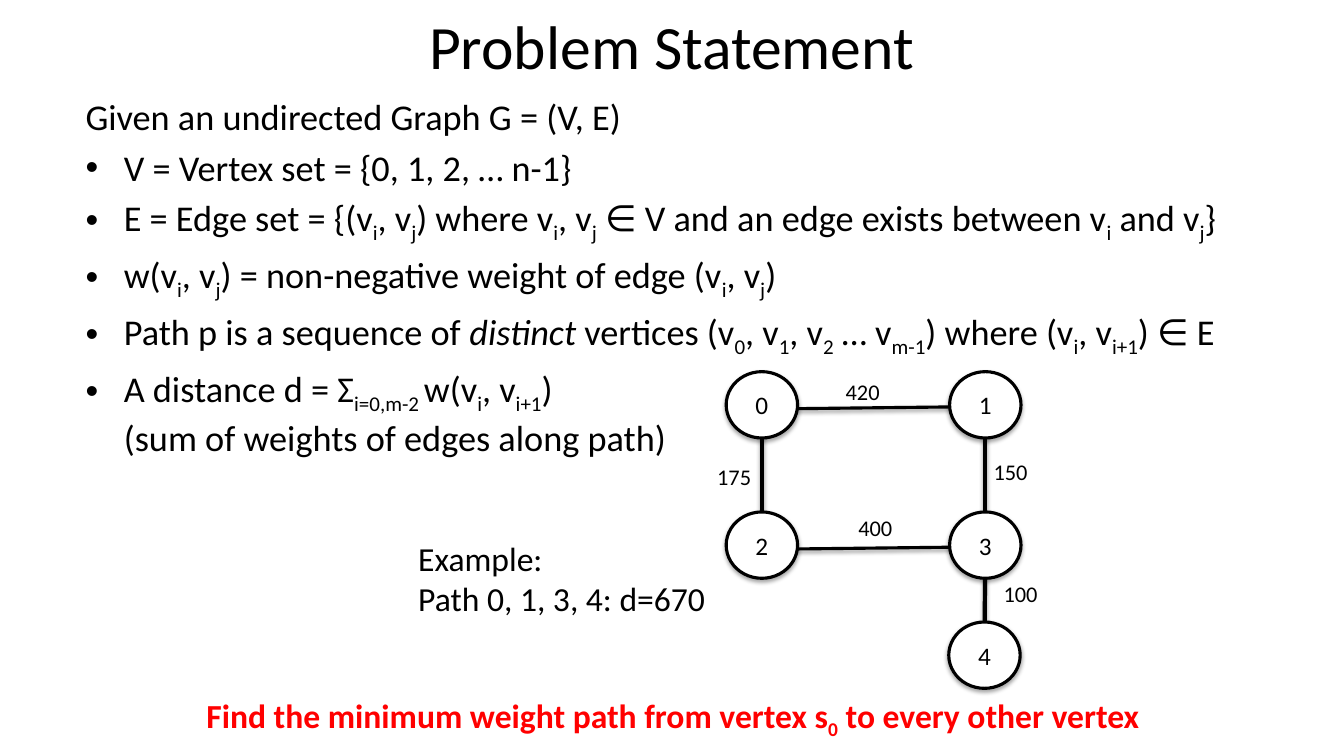
import pptx
import pptx.util
import pptx.dml.color
import pptx.enum.shapes
import pptx.enum.text
import pptx.oxml.ns
import lxml.etree

FONT = "Calibri"
COLORS = {"ink": "000000", "paper": "FFFFFF", "goal": "FF0000"}
WIDTH = pptx.util.Inches(13.333)
HEIGHT = pptx.util.Inches(7.5)
COLUMN = WIDTH / 160
ROW = HEIGHT / 90

NODE_SIZE = (8.5, 7.9)
NODES = {
    "0": (90.7, 48.2),
    "1": (117.3, 48.2),
    "2": (90.7, 64.9),
    "3": (117.3, 64.9),
    "4": (117.2, 78),
}
EDGES = [
    ("0", "1", "420", (99.5, 44.4)),
    ("0", "2", "175", (84.2, 54.5)),
    ("1", "3", "150", (117.1, 54)),
    ("2", "3", "400", (101, 60.6)),
    ("3", "4", "100", (118.3, 68.5)),
]

INTRODUCTION = "Given an undirected Graph G = (V, E)"
DEFINITIONS = [
    "V = Vertex set = {0, 1, 2, … n-1}",
    "E = Edge set = {(v|i|, v|j|) where v|i|, v|j| ∈ V and an edge exists between v|i| and v|j|}",
    "w(v|i|, v|j|) = non-negative weight of edge (v|i|, v|j|) ",
    "Path p is a sequence of *distinct* vertices (v|0|, v|1|, v|2| … v|m-1|) where (v|i|, v|i+1|) ∈ E",
    "A distance d = Σ|i=0,m-2 |w(v|i|, v|i+1|) \n(sum of weights of edges along path)",
]
EXAMPLE = ["Example:", "Path 0, 1, 3, 4: d=670"]
GOAL = "Find the minimum weight path from vertex s|0| to every other vertex"


def rgb(color):
    return pptx.dml.color.RGBColor.from_string(COLORS[color])


def cell(column, row):
    return round(column * COLUMN), round(row * ROW)


def element(parent, tag, **attributes):
    return lxml.etree.SubElement(parent, pptx.oxml.ns.qn(tag), **attributes)


def add_run(paragraph, words, size, color, bold=False, italic=False, lowered=False):
    run = paragraph.add_run()
    run.text = words
    run.font.name = FONT
    run.font.size = pptx.util.Pt(size)
    run.font.bold = bold
    run.font.italic = italic
    run.font.color.rgb = rgb(color)
    if lowered:
        run._r.get_or_add_rPr().set("baseline", "-25000")


def write(paragraph, marked, size, color="ink", bold=False):
    for line_index, line in enumerate(marked.split("\n")):
        if line_index:
            paragraph.add_line_break()
        for part_index, part in enumerate(line.split("|")):
            for word_index, words in enumerate(part.split("*")):
                if words:
                    add_run(paragraph, words, size, color, bold,
                            italic=word_index % 2 == 1, lowered=part_index % 2 == 1)


def add_text(slide, place, size, lines, color="ink", bold=False, wrap=True):
    frame = slide.shapes.add_textbox(*cell(*place[:2]), *cell(*place[2:])).text_frame
    frame.word_wrap = wrap
    for index, line in enumerate(lines):
        paragraph = frame.add_paragraph() if index else frame.paragraphs[0]
        write(paragraph, line, size, color, bold)
    return frame


def add_bullet(paragraph):
    indent = pptx.util.Inches(0.38)
    properties = paragraph._p.get_or_add_pPr()
    properties.set("marL", str(indent))
    properties.set("indent", str(-indent))
    element(properties, "a:buFont", typeface="Arial")
    element(properties, "a:buChar", char="•")


def outline_and_shadow(part, weight, distance, opacity):
    part.line.color.rgb = rgb("ink")
    part.line.width = pptx.util.Pt(weight)
    effects = element(part._element.spPr, "a:effectLst")
    shadow = element(effects, "a:outerShdw", blurRad=str(pptx.util.Pt(3.1)),
                     dist=str(pptx.util.Pt(distance)), dir="5400000", rotWithShape="0")
    tint = element(shadow, "a:srgbClr", val=COLORS["ink"])
    element(tint, "a:alpha", val=str(opacity * 1000))


def add_edge(slide, start, end):
    (start_column, start_row), (end_column, end_row) = NODES[start], NODES[end]
    level = start_row == end_row
    if level:
        start_row, end_row = start_row + 0.5, end_row + 0.2
    edge = slide.shapes.add_connector(
        pptx.enum.shapes.MSO_CONNECTOR.STRAIGHT,
        *cell(start_column, start_row), *cell(end_column, end_row))
    outline_and_shadow(edge, 2.25 if level else 3, 1.6, 38)


def add_node(slide, name):
    column, row = NODES[name]
    width, height = NODE_SIZE
    node = slide.shapes.add_shape(
        pptx.enum.shapes.MSO_SHAPE.OVAL,
        *cell(column - width / 2, row - height / 2), *cell(width, height))
    node.fill.solid()
    node.fill.fore_color.rgb = rgb("paper")
    outline_and_shadow(node, 2.25, 1.8, 35)
    node.text_frame.vertical_anchor = pptx.enum.text.MSO_ANCHOR.MIDDLE
    paragraph = node.text_frame.paragraphs[0]
    paragraph.alignment = pptx.enum.text.PP_ALIGN.CENTER
    write(paragraph, name, 18)


def add_title(slide, words):
    title = slide.shapes.title
    title.left, title.top = cell(26, -2.2)
    title.width, title.height = cell(108, 15)
    title.text_frame.auto_size = pptx.enum.text.MSO_AUTO_SIZE.NONE
    title.text_frame.vertical_anchor = pptx.enum.text.MSO_ANCHOR.MIDDLE
    paragraph = title.text_frame.paragraphs[0]
    paragraph.alignment = pptx.enum.text.PP_ALIGN.CENTER
    write(paragraph, words, 44)


def add_definitions(slide):
    frame = add_text(slide, (9, 10.6, 144, 46.3), 25.9, [INTRODUCTION] + DEFINITIONS)
    for paragraph in frame.paragraphs:
        paragraph.space_before = pptx.util.Pt(5.2)
    for paragraph in frame.paragraphs[1:]:
        add_bullet(paragraph)


def add_graph(slide):
    for start, end, weight, corner in EDGES:
        add_edge(slide, start, end)
    for name in NODES:
        add_node(slide, name)
    for start, end, weight, corner in EDGES:
        add_text(slide, (*corner, 6.5, 4.4), 16, [weight], wrap=False)


def main():
    deck = pptx.Presentation()
    deck.slide_width = WIDTH
    deck.slide_height = HEIGHT
    slide = deck.slides.add_slide(deck.slide_layouts.get_by_name("Title Only"))
    add_title(slide, "Problem Statement")
    add_definitions(slide)
    add_text(slide, (48.6, 63.4, 39.5, 10.9), 24, EXAMPLE)
    add_graph(slide)
    add_text(slide, (23.4, 82.1, 115.3, 6), 24, [GOAL], "goal", bold=True)
    deck.save("out.pptx")


main()
